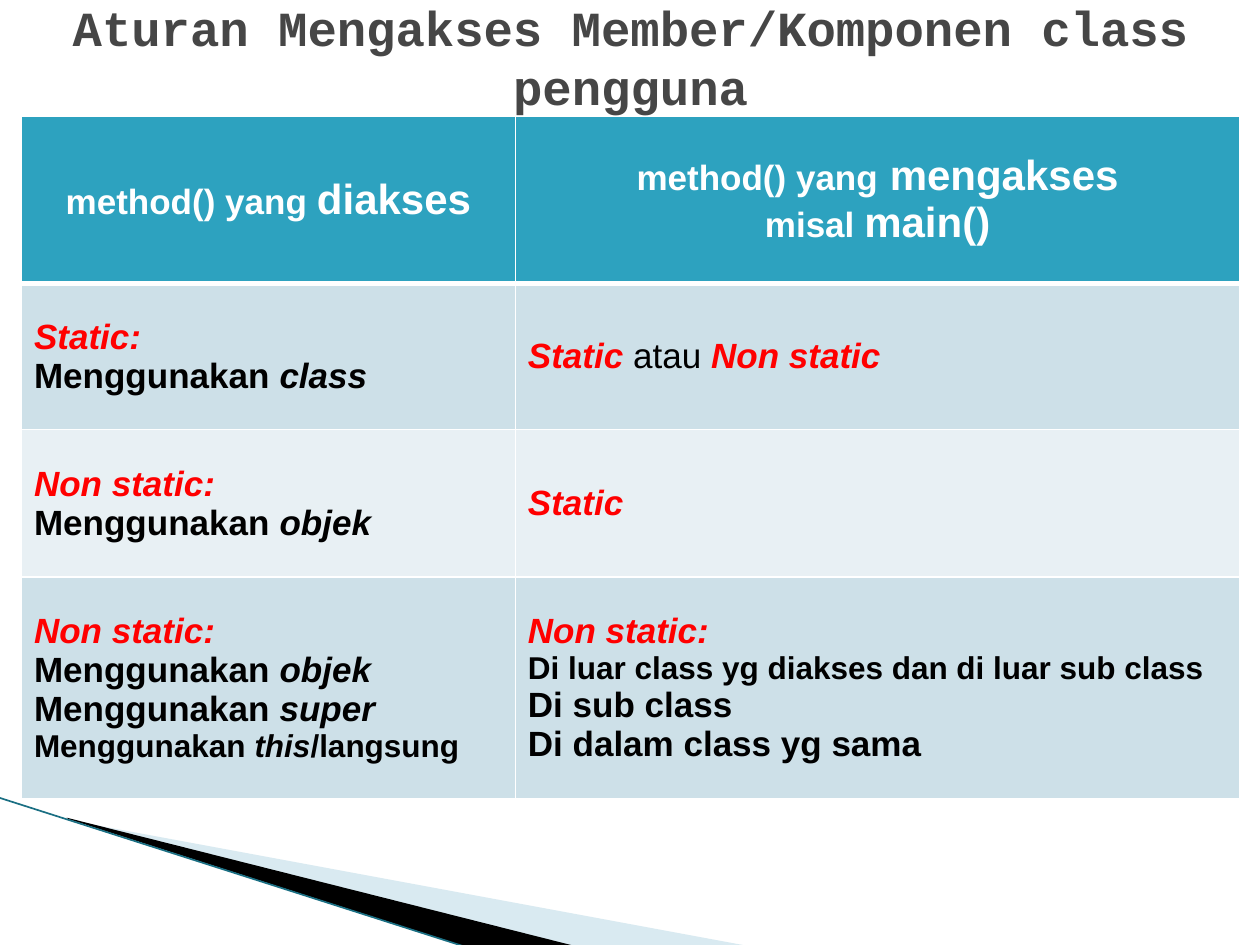
from lxml import etree
from pptx import Presentation
from pptx.dml.color import RGBColor
from pptx.enum.shapes import MSO_CONNECTOR
from pptx.enum.text import MSO_ANCHOR, PP_ALIGN
from pptx.oxml.ns import qn
from pptx.util import Inches, Pt

CENTER, LEFT = PP_ALIGN.CENTER, PP_ALIGN.LEFT
MIDDLE = MSO_ANCHOR.MIDDLE
STRAIGHT = MSO_CONNECTOR.STRAIGHT
BLACK, RED, WHITE = "000000", "FF0000", "FFFFFF"
HEADER_FILL, ODD_FILL, EVEN_FILL = "2DA2BF", "CDE0E8", "E8F0F4"
COLUMN_WIDTHS = [3.92, 5.75]
ROW_HEIGHTS = [1.33, 1.16, 1.17, 1.76]


def color(value):
    """Turn a hex string into a colour."""
    return RGBColor.from_string(value)


def header(text, size=20):
    """Describe a white bold run."""
    return text, size, WHITE, True, False


def keyword(text):
    """Describe a red bold italic run."""
    return text, 20, RED, True, True


def body(text, size=20, bold=True, italic=False):
    """Describe a black run."""
    return text, size, BLACK, bold, italic


ROWS = [
    [
        [[header("method() yang "), header("diakses", 24)]],
        [[header("method() yang"), header(" mengakses", 24)],
         [header("misal "), header("main()", 24)]],
    ],
    [
        [[keyword("Static:")], [body("Menggunakan"), body(" class", italic=True)]],
        [[keyword("Static "), body("atau", bold=False), keyword(" Non static")]],
    ],
    [
        [[keyword("Non static:")], [body("Menggunakan "), body("objek", italic=True)]],
        [[keyword("Static")]],
    ],
    [
        [[keyword("Non static:")],
         [body("Menggunakan "), body("objek", italic=True)],
         [body("Menggunakan "), body("super", italic=True)],
         [body("Menggunakan ", 18), body("this", 18, italic=True), body("/langsung", 18)]],
        [[keyword("Non static:")],
         [body("Di luar class yg diakses dan di luar sub class", 18)],
         [body("Di sub class")],
         [body("Di dalam class yg sama")]],
    ],
]


def write_paragraphs(text_frame, paragraphs, alignment, font_name):
    """Fill a text frame run by run."""
    for index, runs in enumerate(paragraphs):
        paragraph = text_frame.add_paragraph() if index else text_frame.paragraphs[0]
        paragraph.alignment = alignment
        for text, size, hex_color, bold, italic in runs:
            run = paragraph.add_run()
            run.text = text
            run.font.name = font_name
            run.font.size = Pt(size)
            run.font.bold = bold
            run.font.italic = italic
            run.font.color.rgb = color(hex_color)


def set_borders(cell, widths):
    """Give the left, right, top and bottom edges white lines."""
    properties = cell._tc.get_or_add_tcPr()
    for side, width in zip("LRTB", widths):
        line = etree.SubElement(properties, qn(f"a:ln{side}"), w=str(Pt(width)))
        fill = etree.SubElement(line, qn("a:solidFill"))
        etree.SubElement(fill, qn("a:srgbClr"), val=WHITE)


def add_rules_table(slide):
    """Add the table of access rules."""
    table = slide.shapes.add_table(
        len(ROW_HEIGHTS), len(COLUMN_WIDTHS), Inches(0.17), Inches(0.92),
        Inches(sum(COLUMN_WIDTHS)), Inches(sum(ROW_HEIGHTS))).table
    for column, width in zip(table.columns, COLUMN_WIDTHS):
        column.width = Inches(width)
    for row_index, (row, height) in enumerate(zip(table.rows, ROW_HEIGHTS)):
        row.height = Inches(height)
        is_header = row_index == 0
        band = ODD_FILL if row_index % 2 else EVEN_FILL
        top, bottom = 3 if row_index == 1 else 1, 3 if is_header else 1
        for cell, paragraphs in zip(row.cells, ROWS[row_index]):
            set_borders(cell, (1, 1, top, bottom))
            cell.fill.solid()
            cell.fill.fore_color.rgb = color(HEADER_FILL if is_header else band)
            cell.vertical_anchor = MIDDLE
            write_paragraphs(cell.text_frame, paragraphs,
                             CENTER if is_header else LEFT, "Arial")


def add_wedge(slide, points, hex_color, opacity=100):
    """Add a filled outline through points given in inches."""
    corners = [(Inches(x), Inches(y)) for x, y in points]
    builder = slide.shapes.build_freeform(*corners[0])
    builder.add_line_segments(corners[1:], close=True)
    shape = builder.convert_to_shape()
    shape.shadow.inherit = False
    shape.fill.solid()
    shape.fill.fore_color.rgb = color(hex_color)
    shape.line.fill.background()
    if opacity < 100:
        fill_color = shape._element.spPr.find(".//" + qn("a:srgbClr"))
        etree.SubElement(fill_color, qn("a:alpha"), val=str(opacity * 1000))


def add_line(slide, start, end, hex_color, width):
    """Add a straight line between two points in inches."""
    line = slide.shapes.add_connector(
        STRAIGHT, *(Inches(value) for value in (*start, *end)))
    line.line.color.rgb = color(hex_color)
    line.line.width = Pt(width)
    etree.SubElement(line._element.spPr, qn("a:effectLst"))


def add_title(slide, text):
    """Add the centred slide title."""
    box = slide.shapes.add_textbox(Inches(0.17), Inches(0.17), Inches(9.67), Inches(0.56))
    frame = box.text_frame
    frame.word_wrap = True
    frame.vertical_anchor = MIDDLE
    write_paragraphs(frame, [[(text, 28, "464646", True, False)]], CENTER, "Courier New")


def main():
    """Build and save the slide."""
    presentation = Presentation()
    presentation.slide_width = Inches(10)
    presentation.slide_height = Inches(7.5)
    slide = presentation.slides.add_slide(presentation.slide_layouts[6])
    add_wedge(slide, [(0.55, 6.51), (5.95, 7.51), (4.56, 7.51), (0.55, 6.5)], "A0CBDC", 40)
    add_wedge(slide, [(0.53, 6.49), (4.57, 7.51), (3.72, 7.52), (0.54, 6.5)], BLACK)
    add_line(slide, (-0.01, 6.33), (3.71, 7.52), "1A6F83", 0.95)
    add_rules_table(slide)
    add_title(slide, "Aturan Mengakses Member/Komponen class pengguna")
    presentation.save("out.pptx")


if __name__ == "__main__":
    main()
